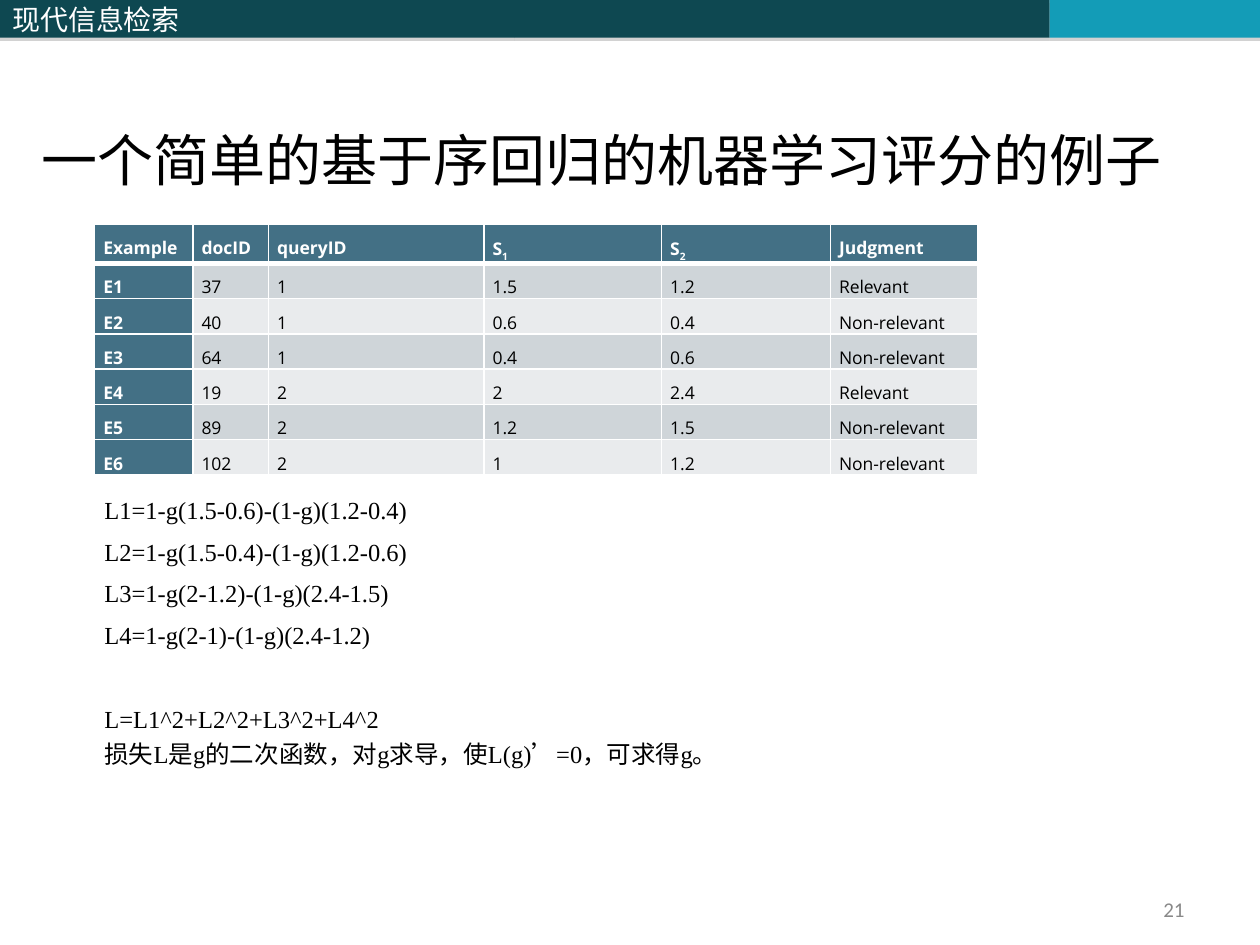
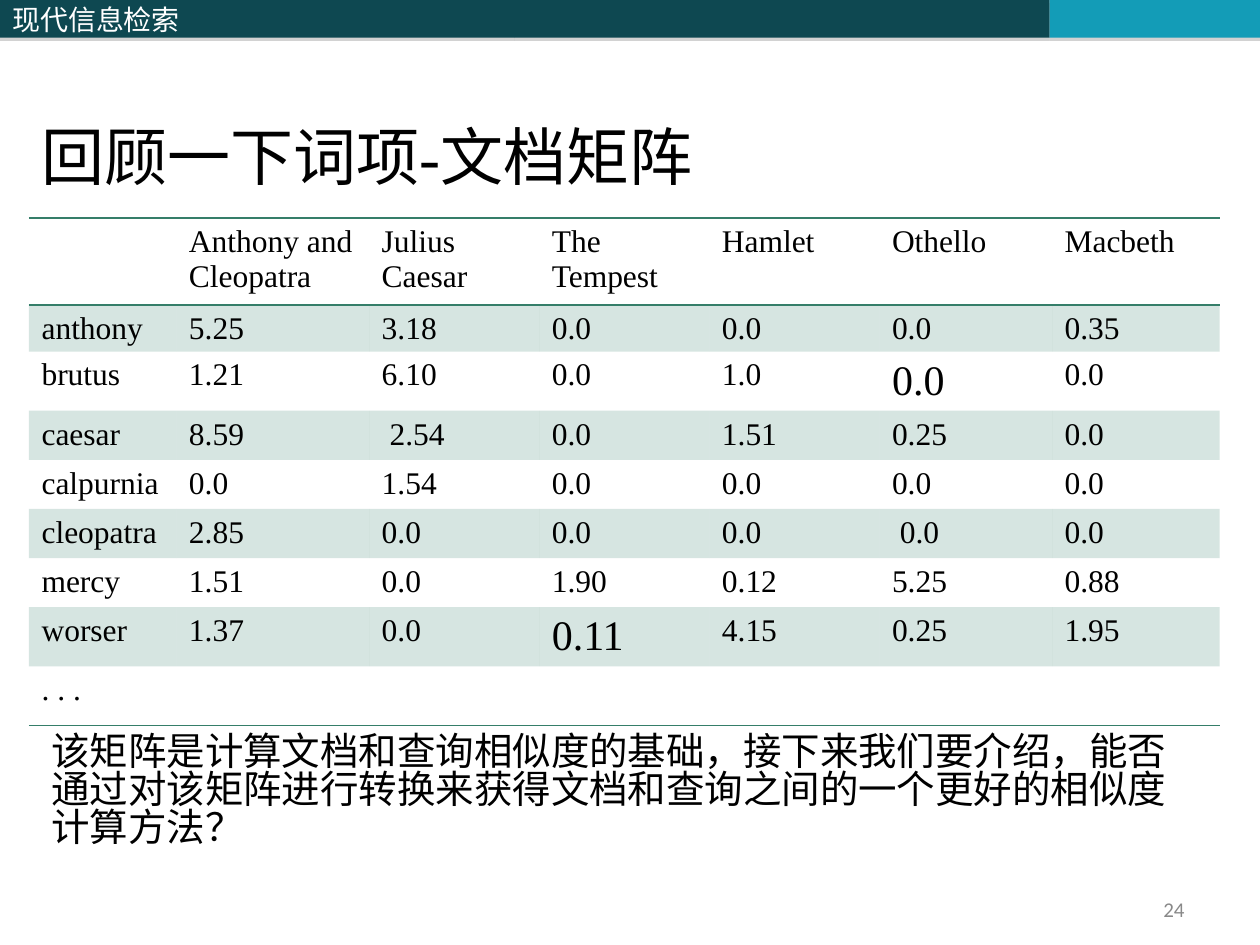
from dataclasses import dataclass, replace

from lxml.etree import SubElement
from pptx import Presentation
from pptx.dml.color import RGBColor
from pptx.enum.shapes import MSO_SHAPE
from pptx.enum.text import MSO_ANCHOR, PP_ALIGN
from pptx.oxml.ns import qn
from pptx.util import Emu, Pt

PX = 9144
PT = 12700
SERIF, SANS, CJK, NUMBER_FONT = "Times New Roman", "Open Sans", "Noto Sans CJK SC", "Calibri"
BLACK, WHITE, GREY = "000000", "FFFFFF", "898989"
DARK_TEAL, CYAN, SHADOW_GREY = "0E4851", "139CB7", "808080"
SLATE, ROW_DARK, ROW_LIGHT = "437085", "CFD5D9", "E9EBED"
GREEN = "357E69"
PLAIN_TABLE = "{2D5ABB26-0587-4C30-8999-92F81FD0307C}"


@dataclass(frozen=True)
class Box:
    left: int
    top: int
    width: int
    height: int


@dataclass(frozen=True)
class Style:
    size: float
    font: str = SERIF
    color: str = BLACK
    bold: bool = False
    align: PP_ALIGN = PP_ALIGN.LEFT
    before: float = 0
    spacing: float = 1
    indent: int = 0


@dataclass(frozen=True)
class Line:
    text: str
    style: Style
    subscript: str = ""


@dataclass(frozen=True)
class Band:
    box: Box
    color: str
    text: str = ""


@dataclass(frozen=True)
class Edge:
    side: str
    color: str
    width: float


BANDS = (
    Band(Box(0, 0, 408, 30), DARK_TEAL, "现代信息检索"),
    Band(Box(408, 0, 425, 30), DARK_TEAL),
    Band(Box(833, 0, 167, 30), CYAN),
)
TITLE_BOX = Box(23, 1, 977, 157)
NUMBER_BOX = Box(717, 708, 233, 27)
BAND_STYLE = Style(16, CJK, WHITE)
NUMBER_STYLE = Style(12, NUMBER_FONT, GREY, align=PP_ALIGN.RIGHT)

JUDGMENT_COLUMNS = (78, 60, 171, 141, 134, 117)
JUDGMENT_ROWS = (31,) + (28,) * 6
JUDGMENTS = (
    ("Example", "docID", "queryID", "S1", "S2", "Judgment"),
    ("E1", "37", "1", "1.5", "1.2", "Relevant"),
    ("E2", "40", "1", "0.6", "0.4", "Non-relevant"),
    ("E3", "64", "1", "0.4", "0.6", "Non-relevant"),
    ("E4", "19", "2", "2", "2.4", "Relevant"),
    ("E5", "89", "2", "1.2", "1.5", "Non-relevant"),
    ("E6", "102", "2", "1", "1.2", "Non-relevant"),
)
LOSSES = (
    "L1=1-g(1.5-0.6)-(1-g)(1.2-0.4)",
    "L2=1-g(1.5-0.4)-(1-g)(1.2-0.6)",
    "L3=1-g(2-1.2)-(1-g)(2.4-1.5)",
    "L4=1-g(2-1)-(1-g)(2.4-1.2)",
)
LOSS_SUM = "L=L1^2+L2^2+L3^2+L4^2"
LOSS_NOTE = "损失L是g的二次函数，对g求导，使L(g)’=0，可求得g。"

MATRIX_COLUMNS = (117, 153, 135, 135, 135, 137, 133)
MATRIX_ROWS = (69, 37, 47, 39, 39, 39, 39, 47, 47)
MATRIX = (
    ("", "Anthony and Cleopatra", "Julius Caesar", "The\nTempest", "Hamlet", "Othello", "Macbeth"),
    ("anthony", "5.25", "3.18", "0.0", "0.0", "0.0", "0.35"),
    ("brutus", "1.21", "6.10", "0.0", "1.0", "0.0", "0.0"),
    ("caesar", "8.59", " 2.54", "0.0", "1.51", "0.25", "0.0"),
    ("calpurnia", "0.0", "1.54", "0.0", "0.0", "0.0", "0.0"),
    ("cleopatra", "2.85", "0.0", "0.0", "0.0", " 0.0", "0.0"),
    ("mercy", "1.51", "0.0", "1.90", "0.12", "5.25", "0.88"),
    ("worser", "1.37", "0.0", "0.11", "4.15", "0.25", "1.95"),
    (". . .", "", "", "", "", "", ""),
)
LARGE_WEIGHTS = {(2, 5), (7, 3)}
MATRIX_NOTE = (
    "该矩阵是计算文档和查询相似度的基础，接下来我们要介绍，"
    "能否通过对该矩阵进行转换来获得文档和查询之间的一个更好的相似度计算方法？"
)


def px(length: int) -> Emu:
    """Turn pixels into EMU."""
    return Emu(length * PX)


def place(box: Box) -> tuple:
    """Give the position and size of a box in EMU."""
    return px(box.left), px(box.top), px(box.width), px(box.height)


def paint(target, color: str) -> None:
    """Give a fill one solid colour."""
    target.solid()
    target.fore_color.rgb = RGBColor.from_string(color)


def add_run(paragraph, text: str, style: Style, subscript: bool = False) -> None:
    """Add one styled run, with the Chinese font where the text needs it."""
    run = paragraph.add_run()
    run.text = text
    font = run.font
    font.size, font.name, font.bold = Pt(style.size), style.font, style.bold
    paint(font.fill, style.color)
    properties = run._r.get_or_add_rPr()
    if not text.isascii():
        properties.set("lang", "zh-CN")
        SubElement(properties, qn("a:ea"), typeface=CJK)
    if subscript:
        properties.set("baseline", "-25000")


def write(frame, lines: list[Line]) -> None:
    """Fill a text frame with lines, one paragraph each."""
    for index, line in enumerate(lines):
        paragraph = frame.add_paragraph() if index else frame.paragraphs[0]
        style = line.style
        paragraph.alignment = style.align
        paragraph.space_before = Pt(style.before)
        paragraph.line_spacing = style.spacing
        if style.indent:
            properties = paragraph._p.get_or_add_pPr()
            properties.set("marL", str(px(style.indent)))
            properties.set("indent", "0")
        add_run(paragraph, line.text, style)
        if line.subscript:
            add_run(paragraph, line.subscript, style, True)


def add_text(slide, box: Box, lines: list[Line], anchor: MSO_ANCHOR = MSO_ANCHOR.TOP) -> None:
    """Add a wrapped text box."""
    frame = slide.shapes.add_textbox(*place(box)).text_frame
    frame.word_wrap = True
    frame.vertical_anchor = anchor
    write(frame, lines)


def add_band(slide, band: Band) -> None:
    """Draw one part of the header band with its soft lower edge."""
    shape = slide.shapes.add_shape(MSO_SHAPE.RECTANGLE, *place(band.box))
    paint(shape.fill, band.color)
    shape.line.fill.background()
    shape.shadow.inherit = False
    effects = shape._element.spPr.find(qn("a:effectLst"))
    shadow = SubElement(effects, qn("a:outerShdw"), blurRad="0", dist="22860", dir="5400000")
    tone = SubElement(shadow, qn("a:srgbClr"), val=SHADOW_GREY)
    SubElement(tone, qn("a:alpha"), val="35000")
    if band.text:
        shape.text_frame.vertical_anchor = MSO_ANCHOR.MIDDLE
        write(shape.text_frame, [Line(band.text, BAND_STYLE)])


def start_slide(deck, title: str, title_size: int, number: int):
    """Add a slide with the shared bands, title and page number."""
    slide = deck.slides.add_slide(deck.slide_layouts[6])
    for band in BANDS:
        add_band(slide, band)
    add_text(slide, TITLE_BOX, [Line(title, Style(title_size))], MSO_ANCHOR.BOTTOM)
    add_text(slide, NUMBER_BOX, [Line(str(number), NUMBER_STYLE)], MSO_ANCHOR.MIDDLE)
    return slide


def add_grid(slide, left: int, top: int, columns: tuple, rows: tuple):
    """Add an unstyled table with the given column widths and row heights."""
    box = Box(left, top, sum(columns), sum(rows))
    table = slide.shapes.add_table(len(rows), len(columns), *place(box)).table
    table.first_row = table.horz_banding = False
    table._tbl.tblPr.find(qn("a:tableStyleId")).text = PLAIN_TABLE
    for column, width in zip(table.columns, columns):
        column.width = px(width)
    for row, height in zip(table.rows, rows):
        row.height = px(height)
    return table


def add_edges(cell, edges: list[Edge]) -> None:
    """Draw cell borders, listed in the order L, R, T, B."""
    properties = cell._tc.get_or_add_tcPr()
    for edge in edges:
        border = SubElement(properties, qn(f"a:ln{edge.side}"), w=str(int(edge.width * PT)))
        SubElement(SubElement(border, qn("a:solidFill")), qn("a:srgbClr"), val=edge.color)


def add_judgments(slide) -> None:
    """Draw the table of training examples."""
    table = add_grid(slide, 75, 178, JUDGMENT_COLUMNS, JUDGMENT_ROWS)
    value = Style(10, SANS, align=PP_ALIGN.JUSTIFY, before=6, spacing=1.5)
    heading = replace(value, color=WHITE, bold=True)
    for r, record in enumerate(JUDGMENTS):
        for c, text in enumerate(record):
            cell = table.cell(r, c)
            cell.margin_left = cell.margin_right = px(7)
            cell.margin_top = cell.margin_bottom = 0
            is_heading = r == 0 or c == 0
            widths = {"L": 1, "R": 1, "T": 3 if r == 1 else 1, "B": 1 if r else 3}
            add_edges(cell, [Edge(side, WHITE, width) for side, width in widths.items()])
            paint(cell.fill, SLATE if is_heading else ROW_DARK if r % 2 else ROW_LIGHT)
            style = heading if is_heading else value
            is_score = text in ("S1", "S2")
            write(cell.text_frame, [Line(text[0], style, text[1]) if is_score else Line(text, style)])


def add_matrix(slide) -> None:
    """Draw the term-document matrix."""
    table = add_grid(slide, 23, 173, MATRIX_COLUMNS, MATRIX_ROWS)
    last = len(MATRIX) - 1
    for r, weights in enumerate(MATRIX):
        sides = {0: "TB", last: "B"}.get(r, "")
        for c, text in enumerate(weights):
            cell = table.cell(r, c)
            cell.margin_bottom = px(2)
            add_edges(cell, [Edge(side, GREEN, 1) for side in sides])
            if r % 2:
                paint(cell.fill, GREEN)
                tone = next(cell._tc.tcPr.find(qn("a:solidFill")).iter(qn("a:srgbClr")))
                SubElement(tone, qn("a:alpha"), val="20000")
            else:
                cell.fill.background()
            if text:
                style = Style(24 if (r, c) in LARGE_WEIGHTS else 18)
                write(cell.text_frame, [Line(part, style) for part in text.split("\n")])


def build_regression_slide(deck) -> None:
    """Build the ordinal regression example."""
    slide = start_slide(deck, "一个简单的基于序回归的机器学习评分的例子", 32, 21)
    add_judgments(slide)
    loss = Style(14, before=7, indent=50)
    lines = [Line(text, loss) for text in LOSSES]
    lines += [Line(LOSS_SUM, replace(loss, before=31)), Line(LOSS_NOTE, replace(loss, before=3.5))]
    add_text(slide, Box(23, 388, 945, 333), lines)


def build_matrix_slide(deck) -> None:
    """Build the term-document matrix review."""
    slide = start_slide(deck, "回顾一下词项-文档矩阵", 36, 24)
    add_matrix(slide)
    add_text(slide, Box(31, 578, 930, 156), [Line(MATRIX_NOTE, Style(22, before=7, spacing=0.83))])


def main() -> None:
    """Build and save the deck."""
    deck = Presentation()
    deck.slide_width, deck.slide_height = px(1000), px(750)
    build_regression_slide(deck)
    build_matrix_slide(deck)
    deck.save("out.pptx")


if __name__ == "__main__":
    main()
